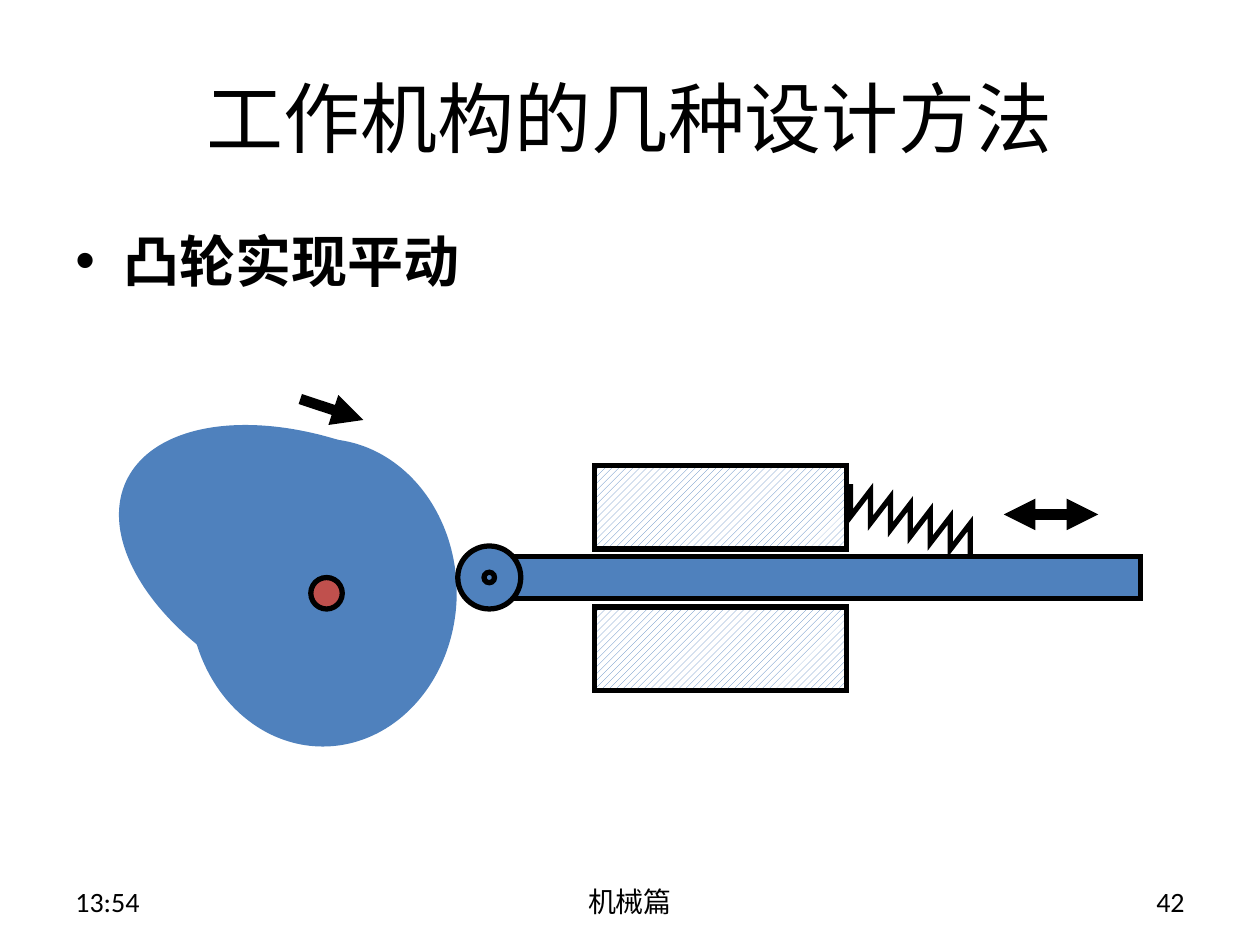
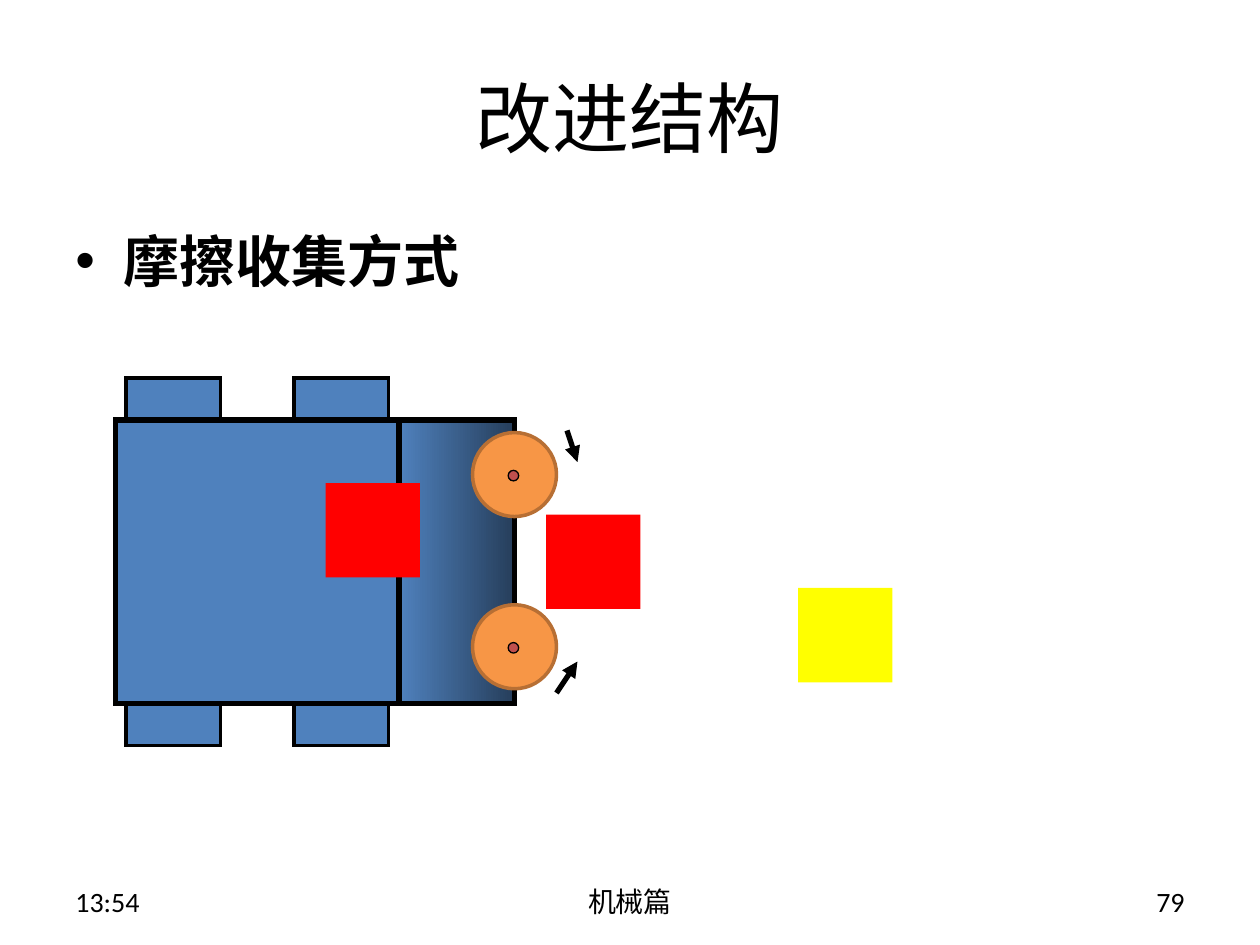
from pptx import Presentation
from pptx.dml.color import RGBColor
from pptx.enum.dml import MSO_PATTERN_TYPE as Pattern
from pptx.enum.shapes import MSO_CONNECTOR_TYPE as Connector, MSO_SHAPE as Shape
from pptx.enum.text import MSO_VERTICAL_ANCHOR as Anchor, PP_PARAGRAPH_ALIGNMENT as Align
from pptx.oxml.ns import qn
from pptx.util import Emu, Inches, Pt
from lxml.etree import SubElement

BLACK, WHITE, BLUE, NAVY = "000000", "FFFFFF", "4F81BD", "263E5B"
BRICK, RED, YELLOW, ORANGE, BROWN = "C0504D", "FF0000", "FFFF00", "F79646", "B76F34"
LATIN, CHINESE = "Calibri", "Noto Sans CJK SC"
COLUMNS, ROWS = 120, 90


def color(code):
    return RGBColor.from_string(code)


def write(frame, text, size=16, font=LATIN, bold=False, align=Align.LEFT,
          anchor=Anchor.MIDDLE, bullet=None):
    frame.word_wrap = True
    frame.vertical_anchor = anchor
    para = frame.paragraphs[0]
    para.alignment = align
    if bullet:
        properties = para._p.get_or_add_pPr()
        indent = Inches(0.38)
        properties.set("marL", str(indent))
        properties.set("indent", str(-indent))
        SubElement(properties, qn("a:buFont"), typeface="Arial")
        SubElement(properties, qn("a:buChar"), char=bullet)
    span = para.add_run()
    span.text = text
    span.font.name = font
    span.font.size = Pt(size)
    span.font.bold = bold
    span.font.color.rgb = color(BLACK)
    SubElement(span._r.get_or_add_rPr(), qn("a:ea"), typeface=CHINESE)


class Drawing:
    def __init__(self, deck):
        self.deck = deck
        self.page = None
        self.column = deck.slide_width / COLUMNS
        self.row = deck.slide_height / ROWS

    def place(self, left, top, *size):
        scales = (self.column, self.row) * 2
        return [Emu(round(value * scale)) for value, scale in zip((left, top, *size), scales)]

    def start(self, title, topic, number):
        self.page = self.deck.slides.add_slide(self.deck.slide_layouts[6])
        self.text(title, 6, 3.6, 108, 15, size=44, font=CHINESE, align=Align.CENTER)
        self.text(topic, 6, 21, 108, 59.4, size=32, bold=True, anchor=Anchor.TOP, bullet="•")
        footers = (("13:54", 6, 28, Align.LEFT), ("机械篇", 41, 38, Align.CENTER),
                   (number, 86, 28, Align.RIGHT))
        for label, left, width, align in footers:
            self.text(label, left, 83.4, width, 4.8, align=align)

    def text(self, text, left, top, width, height, **style):
        box = self.page.shapes.add_textbox(*self.place(left, top, width, height))
        write(box.text_frame, text, **style)

    def outline(self, line, code, weight):
        line.color.rgb = color(code)
        line.width = Pt(weight)
        SubElement(line._get_or_add_ln(), qn("a:miter"), lim="800000")

    def shape(self, kind, left, top, width, height, fill=BLUE, line=BLACK, weight=3, rotation=0):
        figure = self.page.shapes.add_shape(kind, *self.place(left, top, width, height))
        figure.shadow.inherit = False
        figure.rotation = rotation
        figure.fill.solid()
        figure.fill.fore_color.rgb = color(fill)
        if line:
            self.outline(figure.line, line, weight)
        else:
            figure.line.fill.background()
        return figure

    def hatched(self, *area):
        fill = self.shape(Shape.RECTANGLE, *area).fill
        fill.patterned()
        fill.pattern = Pattern.WIDE_UPWARD_DIAGONAL
        fill.fore_color.rgb = color(BLUE)
        fill.back_color.rgb = color(WHITE)

    def shaded(self, *area, shades):
        fill = self.shape(Shape.RECTANGLE, *area).fill
        fill.gradient()
        fill.gradient_angle = 0
        for stop, shade in zip(fill.gradient_stops, shades):
            stop.color.rgb = color(shade)

    def circle(self, left, top, size, **style):
        self.shape(Shape.OVAL, left, top, size, size, **style)

    def arrow(self, start, end, weight, ends=("tailEnd",)):
        link = self.page.shapes.add_connector(
            Connector.STRAIGHT, *self.place(*start), *self.place(*end))
        self.outline(link.line, BLACK, weight)
        for end_name in ends:
            SubElement(link.line._get_or_add_ln(), qn(f"a:{end_name}"), type="triangle")
        SubElement(link._element.spPr, qn("a:effectLst"))

    def zigzag(self, left, top, step, slope, drop, teeth):
        points = [self.place(left + step * tooth, top + slope * tooth + fall)
                  for tooth in range(teeth) for fall in (0, drop)]
        builder = self.page.shapes.build_freeform(*points[0])
        builder.add_line_segments(points[1:], close=False)
        spring = builder.convert_to_shape()
        spring.shadow.inherit = False
        spring.fill.background()
        self.outline(spring.line, BLACK, 3)


def draw_cam(drawing):
    drawing.start("工作机构的几种设计方法", "凸轮实现平动", "42")
    drawing.shape(Shape.MOON, 11, 38, 21.7, 24.8, line=None, rotation=24.8)
    drawing.shape(Shape.OVAL, 18, 41.8, 25.5, 29.3, line=None)
    drawing.circle(29.6, 55, 3, fill=BRICK)
    for guide_top in (44.3, 57.8):
        drawing.hatched(56.6, guide_top, 24, 8)
    drawing.shape(Shape.RECTANGLE, 46.6, 53, 62, 4)
    drawing.circle(43.6, 52, 6)
    drawing.circle(46.1, 54.5, 1)
    drawing.arrow((28.6, 38), (34.6, 40), 6)
    drawing.arrow((95.6, 49), (104.6, 49), 6, ends=("headEnd", "tailEnd"))
    drawing.zigzag(81, 46.1, step=1.9, slope=0.63, drop=3.1, teeth=7)


def draw_collector(drawing):
    drawing.start("改进结构", "摩擦收集方式", "79")
    for wheel_top in (67, 36):
        for wheel_left in (28, 12):
            drawing.shape(Shape.RECTANGLE, wheel_left, wheel_top, 9, 4, weight=2)
    drawing.shape(Shape.RECTANGLE, 11, 40, 27, 27)
    drawing.shaded(38, 40, 11, 27, shades=(BLUE, NAVY))
    roller_tops = (41.2, 57.6)
    for top in roller_tops:
        drawing.circle(45, top, 8, fill=ORANGE, line=BROWN, weight=2)
    drawing.arrow((54, 41), (55, 44), 3)
    drawing.arrow((53, 66), (55, 63), 3)
    for left, top, fill in ((52, 49, RED), (76, 56, YELLOW), (31, 46, RED)):
        drawing.shape(Shape.RECTANGLE, left, top, 9, 9, fill=fill, line=None)
    for top in roller_tops:
        drawing.circle(48.4, top + 3.6, 1, fill=BRICK, weight=0.75)


def main():
    deck = Presentation()
    deck.slide_width, deck.slide_height = Inches(10), Inches(7.5)
    drawing = Drawing(deck)
    draw_cam(drawing)
    draw_collector(drawing)
    deck.save("out.pptx")


if __name__ == "__main__":
    main()
